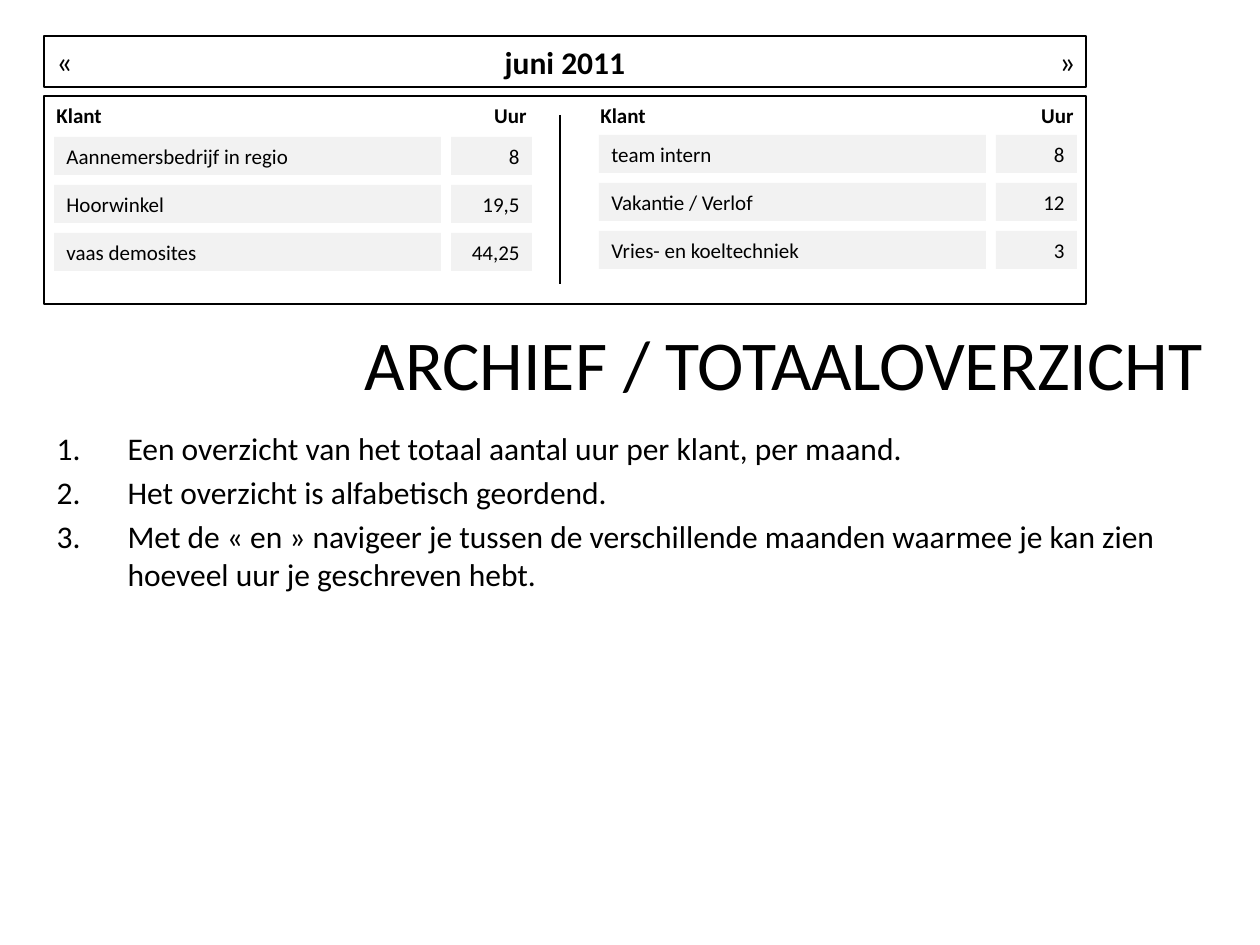
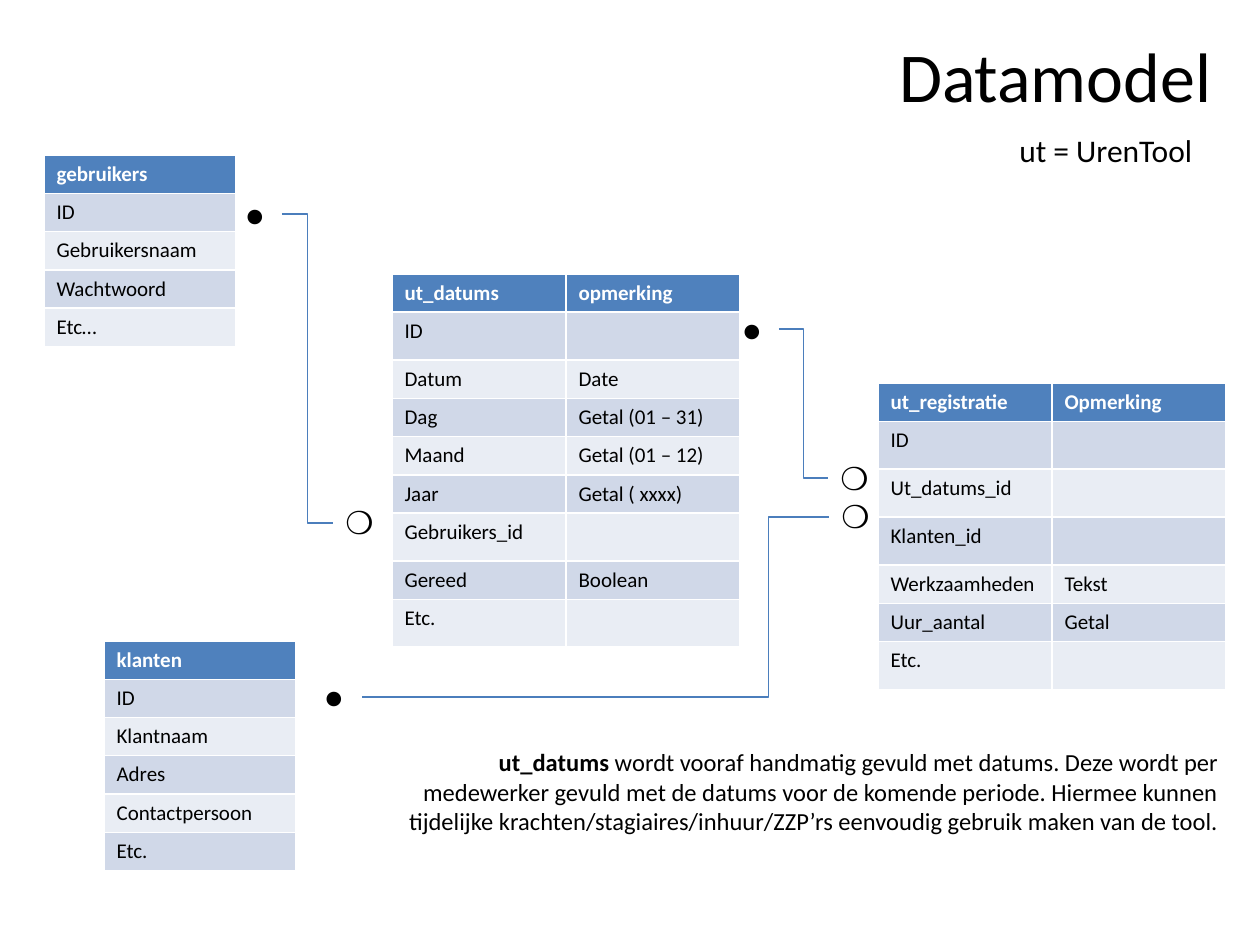
from lxml import etree
from pptx import Presentation
from pptx import util as u
from pptx.dml.color import RGBColor
from pptx.enum import shapes, text
from pptx.oxml.ns import qn

# Shared look
FONT = "Calibri"
BLACK = RGBColor(0x00, 0x00, 0x00)
WHITE = RGBColor(0xFF, 0xFF, 0xFF)
GREY = RGBColor(0xF2, 0xF2, 0xF2)
HEADER_BLUE = RGBColor(0x4F, 0x81, 0xBD)
BANDS = RGBColor(0xD0, 0xD8, 0xE8), RGBColor(0xE9, 0xED, 0xF4)
LINK_BLUE = RGBColor(0x4B, 0x7E, 0xBC)
LEFT, CENTER, RIGHT = text.PP_ALIGN.LEFT, text.PP_ALIGN.CENTER, text.PP_ALIGN.RIGHT
TOP, MIDDLE = text.MSO_ANCHOR.TOP, text.MSO_ANCHOR.MIDDLE
SCALE = 914400 / 126  # EMU per pixel

# Content of the overview slide
OVERVIEW_TITLE = "ARCHIEF / TOTAALOVERZICHT"
MONTH = "juni 2011"
COLUMN_HEADS = "Klant", "Uur"
# name left, hours left, Klant left, Uur left, first row top, rows
CLIENT_COLUMNS = [
    (54, 451, 44, 481, 137,
     [("Aannemersbedrijf in regio", "8"), ("Hoorwinkel", "19,5"), ("vaas demosites", "44,25")]),
    (599, 996, 588, 1028, 135,
     [("team intern", "8"), ("Vakantie / Verlof", "12"), ("Vries- en koeltechniek", "3")]),
]
NOTES = [
    "Een overzicht van het totaal aantal uur per klant, per maand.",
    "Het overzicht is alfabetisch geordend.",
    "Met de « en » navigeer je tussen de verschillende maanden waarmee je kan zien "
    "hoeveel uur je geschreven hebt.",
]

# Content of the data model slide: left, top, column width, rows
MODEL_TITLE = "Datamodel"
MODEL_SUBTITLE = "ut = UrenTool"
TABLES = [
    (44, 155, 192, [("gebruikers",), ("ID",), ("Gebruikersnaam",), ("Wachtwoord",), ("Etc…",)]),
    (392, 274, 174, [("ut_datums", "opmerking"), ("ID", ""), ("Datum", "Date"),
                     ("Dag", "Getal (01 – 31)"), ("Maand", "Getal (01 – 12)"),
                     ("Jaar", "Getal ( xxxx)"), ("Gebruikers_id", ""),
                     ("Gereed", "Boolean"), ("Etc.", "")]),
    (104, 641, 192, [("klanten",), ("ID",), ("Klantnaam",), ("Adres",),
                     ("Contactpersoon",), ("Etc.",)]),
    (878, 383, 174, [("ut_registratie", "Opmerking"), ("ID", ""), ("Ut_datums_id", ""),
                     ("Klanten_id", ""), ("Werkzaamheden", "Tekst"),
                     ("Uur_aantal", "Getal"), ("Etc.", "")]),
]
KEY_DOTS = [(233, 189), (730, 304), (312, 671)]
FOREIGN_RINGS = [(333, 497), (828, 453), (829, 491)]
# from, to, place of the bend as a share of the width
LINKS = [
    ((282, 214), (333, 523), 0.5),
    ((779, 329), (828, 478), 0.5),
    ((829, 517), (362, 697), 0.13),
]
EXPLANATION = [
    ("ut_datums", True),
    (" wordt vooraf handmatig gevuld met datums. Deze wordt per medewerker gevuld met de "
     "datums voor de komende periode. Hiermee kunnen tijdelijke krachten/stagiaires/inhuur/"
     "ZZP’rs eenvoudig gebruik maken van de tool.", False),
]


def px(value):
    return u.Emu(round(value * SCALE))


def write(frame, paragraphs, size=12, color=BLACK, bold=False, align=LEFT):
    """Fill a text frame; a paragraph is a string or a list of (text, bold) runs."""
    for index, content in enumerate(paragraphs):
        paragraph = frame.paragraphs[0] if index == 0 else frame.add_paragraph()
        paragraph.alignment = align
        runs = [(content, bold)] if isinstance(content, str) else content
        for words, weight in runs:
            run = paragraph.add_run()
            run.text = words
            run.font.name, run.font.size = FONT, u.Pt(size)
            run.font.bold, run.font.color.rgb = weight, color


def add_text(slide, box, content, wrap=False, **style):
    shape = slide.shapes.add_textbox(*map(px, box))
    shape.text_frame.word_wrap = wrap
    write(shape.text_frame, [content], **style)


def add_box(slide, box, content="", fill=None, line=None, **style):
    shape = slide.shapes.add_shape(shapes.MSO_SHAPE.RECTANGLE, *map(px, box))
    shape.shadow.inherit = False
    if fill is None:
        shape.fill.background()
    else:
        shape.fill.solid()
        shape.fill.fore_color.rgb = fill
    if line is None:
        shape.line.fill.background()
    else:
        shape.line.color.rgb, shape.line.width = BLACK, u.Pt(line)
    shape.text_frame.vertical_anchor = MIDDLE
    if content:
        write(shape.text_frame, [content], **style)


def add_line(slide, start, end, color, bend=None):
    kind = shapes.MSO_CONNECTOR.STRAIGHT if bend is None else shapes.MSO_CONNECTOR.ELBOW
    connector = slide.shapes.add_connector(kind, *map(px, start + end))
    connector.line.color.rgb, connector.line.width = color, u.Pt(0.75)
    properties = connector._element.spPr
    etree.SubElement(properties, qn("a:effectLst"))
    if bend is not None:
        guides = properties.find(qn("a:prstGeom")).get_or_add_avLst()
        etree.SubElement(guides, qn("a:gd"), name="adj1", fmla=f"val {round(bend * 100000)}")


def place(shape, box):
    shape.left, shape.top, shape.width, shape.height = map(px, box)
    shape.text_frame.auto_size = text.MSO_AUTO_SIZE.NONE
    shape.text_frame.vertical_anchor = TOP
    return shape.text_frame


def add_slide(presentation, layout, title, box):
    slide = presentation.slides.add_slide(presentation.slide_layouts[layout])
    frame = place(slide.shapes.title, box)
    frame.word_wrap = False
    write(frame, [title], size=40, align=RIGHT)
    return slide


def add_entity(slide, left, top, column_width, rows):
    columns = len(rows[0])
    box = left, top, column_width * columns, 37.8 * len(rows)
    table = slide.shapes.add_table(len(rows), columns, *map(px, box)).table
    for r, row in enumerate(rows):
        for c, words in enumerate(row):
            cell = table.cell(r, c)
            cell.fill.solid()
            cell.fill.fore_color.rgb = BANDS[(r - 1) % 2] if r else HEADER_BLUE
            write(cell.text_frame, [words], bold=r == 0, color=BLACK if r else WHITE)


presentation = Presentation()
presentation.slide_width, presentation.slide_height = px(1260), px(945)

# Overview slide: month bar
overview = add_slide(presentation, 1, OVERVIEW_TITLE, (343, 314, 872, 97))
add_box(overview, (44, 36, 1042, 51), MONTH, line=0.75, size=18, bold=True, align=CENTER)
add_text(overview, (1047, 36, 41, 51), "»", size=18)
add_text(overview, (44, 36, 41, 51), "«", size=18)

# Overview slide: hours per client in two columns
add_box(overview, (44, 96, 1042, 208), line=1)
add_line(overview, (560, 115), (560, 284), BLACK)
for name_left, hours_left, client_left, hour_left, first_top, rows in CLIENT_COLUMNS:
    add_text(overview, (client_left, 96, 72, 38), COLUMN_HEADS[0], bold=True)
    add_text(overview, (hour_left, 96, 58, 38), COLUMN_HEADS[1], bold=True, align=RIGHT)
    for index, (name, hours) in enumerate(rows):
        top = first_top + 48 * index
        add_box(overview, (name_left, top, 387, 38), name, fill=GREY)
        add_box(overview, (hours_left, top, 81, 38), hours, fill=GREY, align=RIGHT)

# Overview slide: numbered notes
notes = place(overview.placeholders[1], (44, 423, 1142, 407))
write(notes, NOTES, size=18)
for paragraph in notes.paragraphs:
    properties = paragraph._p.get_or_add_pPr()
    properties.set("marL", str(px(71)))
    properties.set("indent", str(-px(71)))
    etree.SubElement(properties, qn("a:buFont"), typeface="+mj-lt")
    etree.SubElement(properties, qn("a:buAutoNum"), type="arabicPeriod")

# Data model slide: tables, key marks and links
model = add_slide(presentation, 5, MODEL_TITLE, (883, 26, 341, 97))
for entity in TABLES:
    add_entity(model, *entity)
for left, top in KEY_DOTS:
    add_text(model, (left, top, 49, 51), "●", size=18)
for left, top in FOREIGN_RINGS:
    add_text(model, (left, top, 55, 51), "❍", wrap=True, size=18)
for start, end, bend in LINKS:
    add_line(model, start, end, LINK_BLUE, bend)

# Data model slide: subtitle and explanation
add_text(model, (1007, 125, 200, 51), MODEL_SUBTITLE, size=18)
add_text(model, (362, 741, 869, 102), EXPLANATION, wrap=True, size=14, align=RIGHT)

presentation.save("out.pptx")
